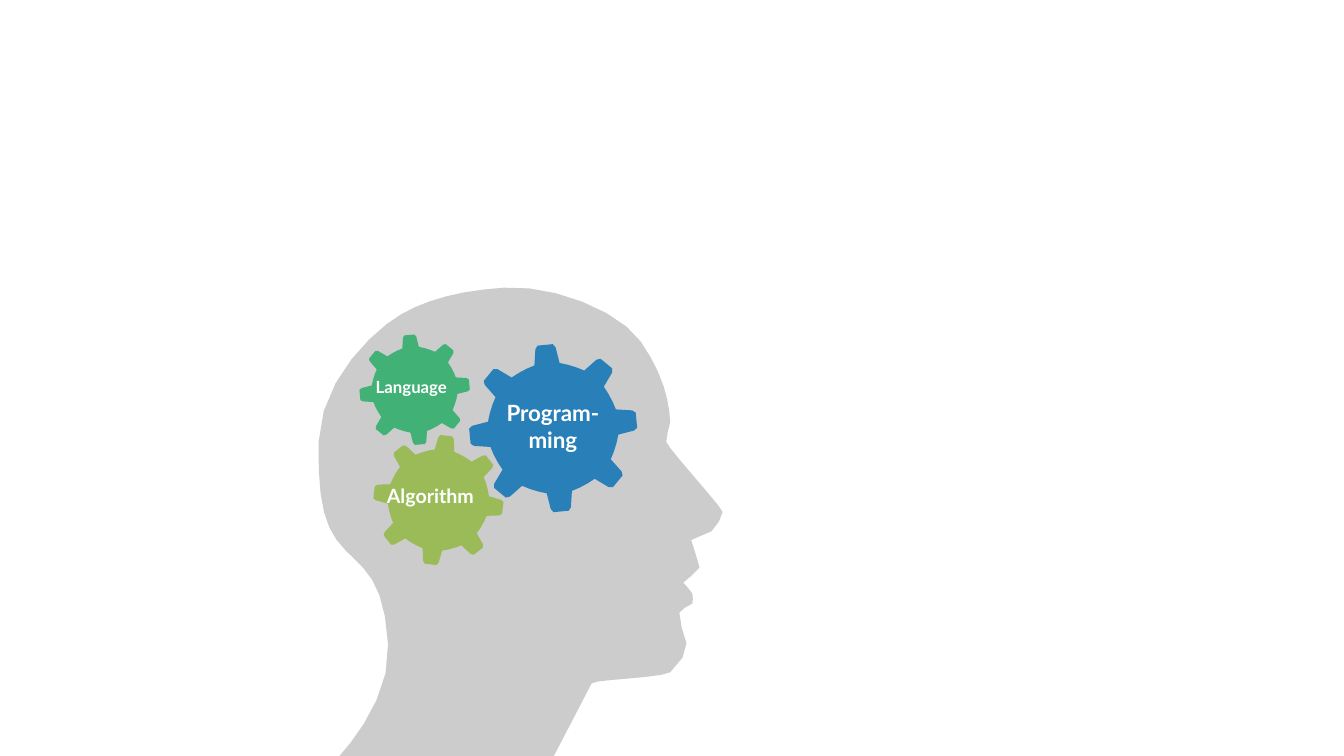
from math import cos, radians, sin

from lxml import etree
from pptx import Presentation
from pptx.dml.color import RGBColor
from pptx.enum.text import MSO_AUTO_SIZE, PP_ALIGN
from pptx.oxml.ns import qn
from pptx.util import Cm, Pt

LEFT, CENTER = PP_ALIGN.LEFT, PP_ALIGN.CENTER
GROW = MSO_AUTO_SIZE.SHAPE_TO_FIT_TEXT
UNITS = 1000  # outline units per cm
TURN = 345


def rgb(code):
    return RGBColor.from_string(code)


def draw(points, color):
    """Draw a closed, filled outline from points in cm."""
    spots = [(x * UNITS, y * UNITS) for x, y in points]
    pen = slide.shapes.build_freeform(*spots[0], scale=Cm(1) / UNITS)
    pen.add_line_segments(spots[1:], close=True)
    shape = pen.convert_to_shape()
    shape.shadow.inherit = False
    shape.fill.solid()
    shape.fill.fore_color.rgb = rgb(color)
    shape.line.fill.background()
    return shape


deck = Presentation()
deck.slide_width, deck.slide_height = Cm(33.87), Cm(19.05)
slide = deck.slides.add_slide(deck.slide_layouts[6])

# Head: start point, then two handles and an end point per curve
start = (8.48, 19.13)
curves = [
    ((8.48, 19.13), (9.88, 17.73), (9.78, 16.23)),
    ((9.68, 14.58), (9.17, 14.35), (8.71, 13.87)),
    ((8.2, 13.36), (8, 12.73), (8.03, 11.13)),
    ((8.08, 9.53), (9.5, 8.26), (10.11, 7.92)),
    ((10.77, 7.54), (11.61, 7.32), (12.7, 7.25)),
    ((13.92, 7.17), (15.6, 7.82), (16.15, 8.61)),
    ((16.71, 9.42), (16.87, 10.11), (16.89, 10.64)),
    ((16.89, 10.77), (16.76, 11), (16.79, 11.13)),
    ((16.79, 11.25), (18.21, 12.8), (18.21, 12.9)),
    ((18.21, 13), (18.06, 13.28), (17.93, 13.39)),
    ((17.83, 13.46), (17.45, 13.56), (17.42, 13.61)),
    ((17.42, 13.67), (17.63, 14.2), (17.63, 14.3)),
    ((17.6, 14.4), (17.22, 14.66), (17.22, 14.68)),
    ((17.22, 14.73), (17.45, 14.88), (17.45, 14.96)),
    ((17.45, 15.04), (17.48, 15.16), (17.45, 15.21)),
    ((17.37, 15.29), (17.12, 15.34), (17.12, 15.44)),
    ((17.09, 15.57), (17.25, 16.05), (17.3, 16.21)),
    ((17.35, 16.36), (17.12, 16.79), (16.89, 16.94)),
    ((16.64, 17.09), (14.99, 17.12), (14.91, 17.22)),
    ((14.86, 17.32), (13.64, 19.66), (13.64, 19.66)),
    ((11.96, 18.9), (10.16, 19.89), (8.48, 19.13)),
]
outline = [start]
for one, two, end in curves:
    span = abs(end[0] - start[0]) + abs(end[1] - start[1])
    steps = 6 if span > 1.6 else 2
    for step in range(1, steps + 1):
        t = step / steps
        u = 1 - t
        outline.append(tuple(
            u**3 * a + 3 * u * u * t * b + 3 * u * t * t * c + t**3 * d
            for a, b, c, d in zip(start, one, two, end)))
    start = end
head = draw(outline[:-1], "B2B2B2")
tint = head.fill._xPr.find(qn("a:solidFill"))[0]
etree.SubElement(tint, qn("a:alpha")).set("val", "65000")

# Gears: centre, radius, tilt of the first tooth, colour
gears = [
    (11.05, 12.6, 1.65, 7, "9BBB59"),
    (10.45, 9.82, 1.4, -5.5, "41B176"),
    (13.94, 10.79, 2.13, -5.5, "2980B9"),
]
# One tooth and the rim up to the next, as shares of the radius
tooth = [(-0.15, 0.76), (-0.12, 0.95), (-0.09, 0.99),
         (0.09, 0.99), (0.12, 0.95), (0.15, 0.76)]
rim = [(0.77 * sin(radians(a)), 0.77 * cos(radians(a))) for a in (18.5, 26.5)]
for left, top, size, tilt, color in gears:
    points = []
    for k in range(8):
        turn = radians(45 * k + tilt - TURN)
        for x, y in tooth + rim:
            points.append((left + size * (x * cos(turn) + y * sin(turn)),
                           top + size * (x * sin(turn) - y * cos(turn))))
    draw(points, color).rotation = TURN

# Gear labels
labels = [
    ("Language", 9.22, 9.37, 2.46, 0.76, 12, LEFT),
    ("Algorithm", 9.5, 12.07, 2.92, 0.86, 14, LEFT),
    ("Program-\nming", 12.4, 9.93, 3.07, 1.63, 16, CENTER),
]
for words, left, top, width, height, size, side in labels:
    box = slide.shapes.add_textbox(Cm(left), Cm(top), Cm(width), Cm(height))
    frame = box.text_frame
    frame.text = words
    frame.word_wrap = False
    frame.auto_size = GROW
    for para in frame.paragraphs:
        para.alignment = side
        for run in para.runs:
            run.font.name = "Lato"
            run.font.size = Pt(size)
            run.font.bold = True
            run.font.color.rgb = rgb("FFFFFF")

deck.save("out.pptx")
